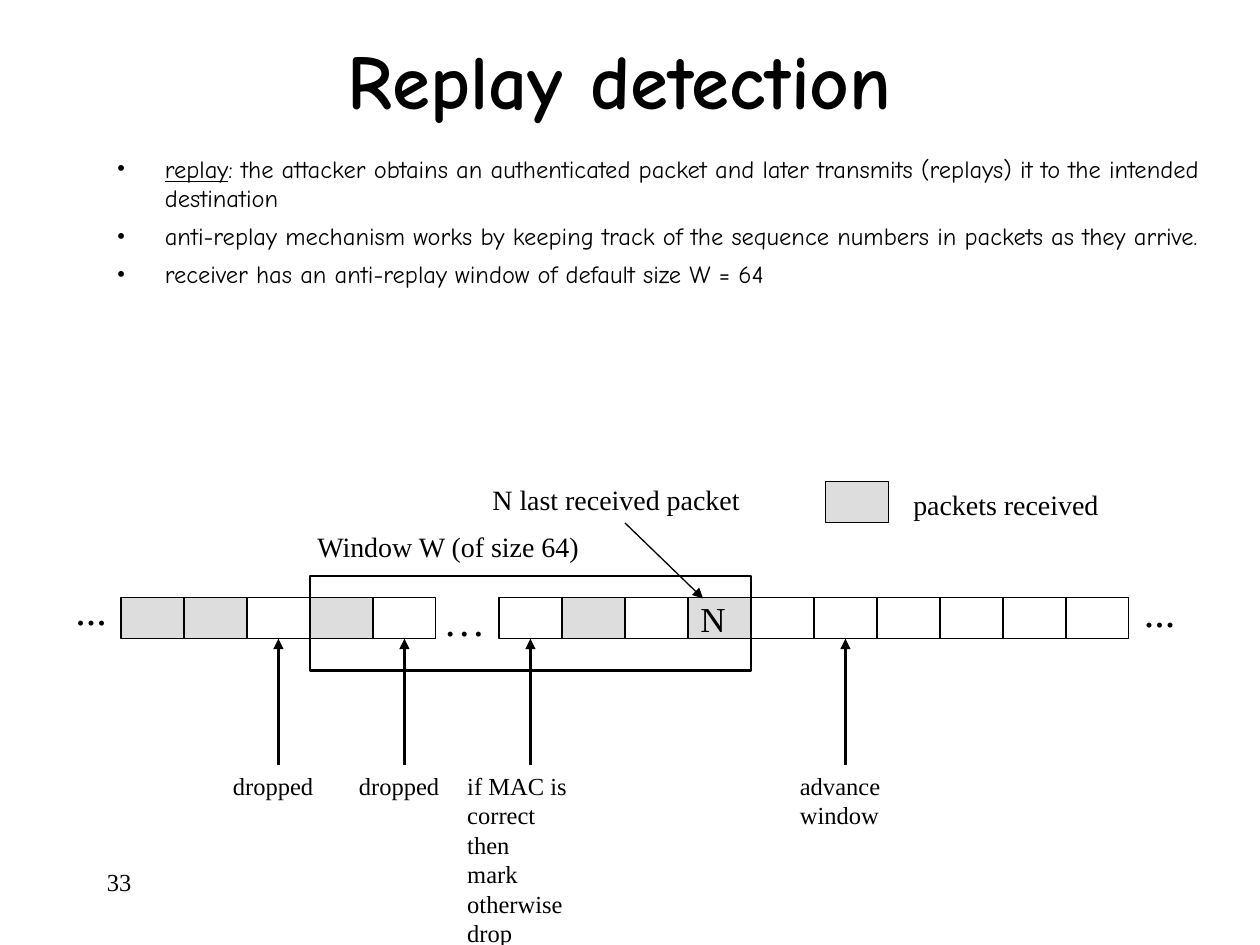
from lxml.etree import SubElement
from pptx import Presentation
from pptx.dml.color import RGBColor
from pptx.enum.shapes import MSO_CONNECTOR, MSO_SHAPE
from pptx.enum.text import MSO_ANCHOR, PP_ALIGN
from pptx.oxml.ns import qn
from pptx.util import Inches, Pt

BLACK = RGBColor(0x00, 0x00, 0x00)
WHITE = RGBColor(0xFF, 0xFF, 0xFF)
GRAY = RGBColor(0xDD, 0xDD, 0xDD)
SERIF, COMIC = "Times New Roman", "Comic Neue"

TITLE = "Replay detection"
# Each bullet: underlined lead, rest of the text
BULLETS = [
    ("replay", ": the attacker obtains an authenticated packet and later "
               "transmits (replays) it to the intended destination"),
    ("", "anti-replay mechanism works by keeping track of the sequence "
         "numbers in packets as they arrive."),
    ("", "receiver has an anti-replay window of default size W = 64"),
]

# Packet row: R received, . not received, N last received, blank for the gap
PACKETS = "RR.R. .R.N......"
CELL_W, CELL_H = 0.5, 0.33
ROW_X, ROW_Y = 0.96, 4.74
WINDOW_START, WINDOW_CELLS = 3, 7
ARROW_LENGTH = 1.0

# Packet column, text lines, distance of the label left of the arrow, label size
OUTCOMES = [
    (2, ["dropped"], 0.46, 0.84, 0.34),
    (4, ["dropped"], 0.46, 0.84, 0.34),
    (6, ["if MAC is", "correct then", "mark", "otherwise", "drop"], 0.6, 1.12, 1.27),
    (11, ["advance", "window"], 0.46, 0.84, 0.57),
]
# Text, left, top, width, height, size
LABELS = [
    ("33", 0.75, 6.83, 2.08, 0.5, 14),
    ("packets received", 7.15, 3.82, 1.67, 0.37, 16),
    ("Window W (of size 64)", 2.42, 4.15, 2.29, 0.37, 16),
    ("N last received packet", 3.81, 3.78, 2.16, 0.37, 16),
    ("...", 0.5, 4.58, 0.45, 0.5, 24),
    ("...", 8.98, 4.6, 0.45, 0.5, 24),
    ("…", 3.42, 4.67, 0.5, 0.5, 24),
]

prs = Presentation()
prs.slide_width, prs.slide_height = Inches(10), Inches(7.5)
s = prs.slides.add_slide(prs.slide_layouts[6])


def add_run(p, text, size=14, font=SERIF, bold=False, underline=False):
    r = p.add_run()
    r.text = text
    r.font.size, r.font.name = Pt(size), font
    r.font.bold, r.font.underline = bold, underline
    r.font.color.rgb = BLACK


def add_text(lines, x, y, w, h, wrap=False, align=PP_ALIGN.LEFT,
             anchor=MSO_ANCHOR.TOP, **fmt):
    tf = s.shapes.add_textbox(*map(Inches, (x, y, w, h))).text_frame
    tf.word_wrap, tf.vertical_anchor = wrap, anchor
    for i, line in enumerate(lines):
        p = tf.add_paragraph() if i else tf.paragraphs[0]
        p.alignment = align
        add_run(p, line, **fmt)


def add_bullets(items, x, y, w, h):
    tf = s.shapes.add_textbox(*map(Inches, (x, y, w, h))).text_frame
    tf.word_wrap = True
    for i, (lead, rest) in enumerate(items):
        p = tf.add_paragraph() if i else tf.paragraphs[0]
        pPr = p._p.get_or_add_pPr()
        pPr.set("marL", str(Inches(0.38)))
        pPr.set("indent", str(-Inches(0.38)))
        color = SubElement(pPr, qn("a:buClr"))
        SubElement(color, qn("a:srgbClr"), val=str(BLACK))
        SubElement(pPr, qn("a:buFont"), typeface=SERIF)
        SubElement(pPr, qn("a:buChar"), char="•")
        p.space_before = Pt(5 if i else 0)
        if lead:
            add_run(p, lead, font=COMIC, underline=True)
        add_run(p, rest, font=COMIC)


def add_rect(x, y, w, h, fill=WHITE, line=0.75):
    sp = s.shapes.add_shape(MSO_SHAPE.RECTANGLE, *map(Inches, (x, y, w, h)))
    sp.shadow.inherit = False
    sp.fill.solid()
    sp.fill.fore_color.rgb = fill
    sp.line.color.rgb, sp.line.width = BLACK, Pt(line)
    return sp


def add_arrow(x1, y1, x2, y2, width):
    c = s.shapes.add_connector(MSO_CONNECTOR.STRAIGHT,
                               *map(Inches, (x1, y1, x2, y2)))
    c.line.color.rgb, c.line.width = BLACK, Pt(width)
    SubElement(c.line._get_or_add_ln(), qn("a:tailEnd"), type="triangle")
    SubElement(c._element.spPr, qn("a:effectLst"))
    return c


add_text([TITLE], 0.67, 0, 8.5, 1.25, wrap=True, align=PP_ALIGN.CENTER,
         anchor=MSO_ANCHOR.MIDDLE, size=44, font=COMIC, bold=True)
add_bullets(BULLETS, 0.83, 1.17, 8.83, 1.5)

add_rect(ROW_X + WINDOW_START * CELL_W, 4.57, WINDOW_CELLS * CELL_W, 0.75, line=1.5)
cells = {}
for col, state in enumerate(PACKETS):
    if state == " ":
        continue
    cells[col] = add_rect(ROW_X + col * CELL_W, ROW_Y, CELL_W, CELL_H,
                          fill=WHITE if state == "." else GRAY)
    if state == "N":
        tf = cells[col].text_frame
        tf.vertical_anchor = MSO_ANCHOR.MIDDLE
        tf.paragraphs[0].alignment = PP_ALIGN.LEFT
        add_run(tf.paragraphs[0], "N", size=20)

row_bottom = ROW_Y + CELL_H
label_y = row_bottom + ARROW_LENGTH
for col, lines, offset, w, h in OUTCOMES:
    x = ROW_X + (col + 0.5) * CELL_W
    add_arrow(x, label_y, x, row_bottom, 1.5).end_connect(cells[col], 2)
    add_text(lines, x - offset, label_y, w, h)

add_rect(6.55, 3.82, CELL_W, CELL_H, fill=GRAY)
add_arrow(4.96, 4.15, 5.58, 4.75, 0.75)
for text, x, y, w, h, size in LABELS:
    add_text([text], x, y, w, h, size=size)

prs.save("out.pptx")
